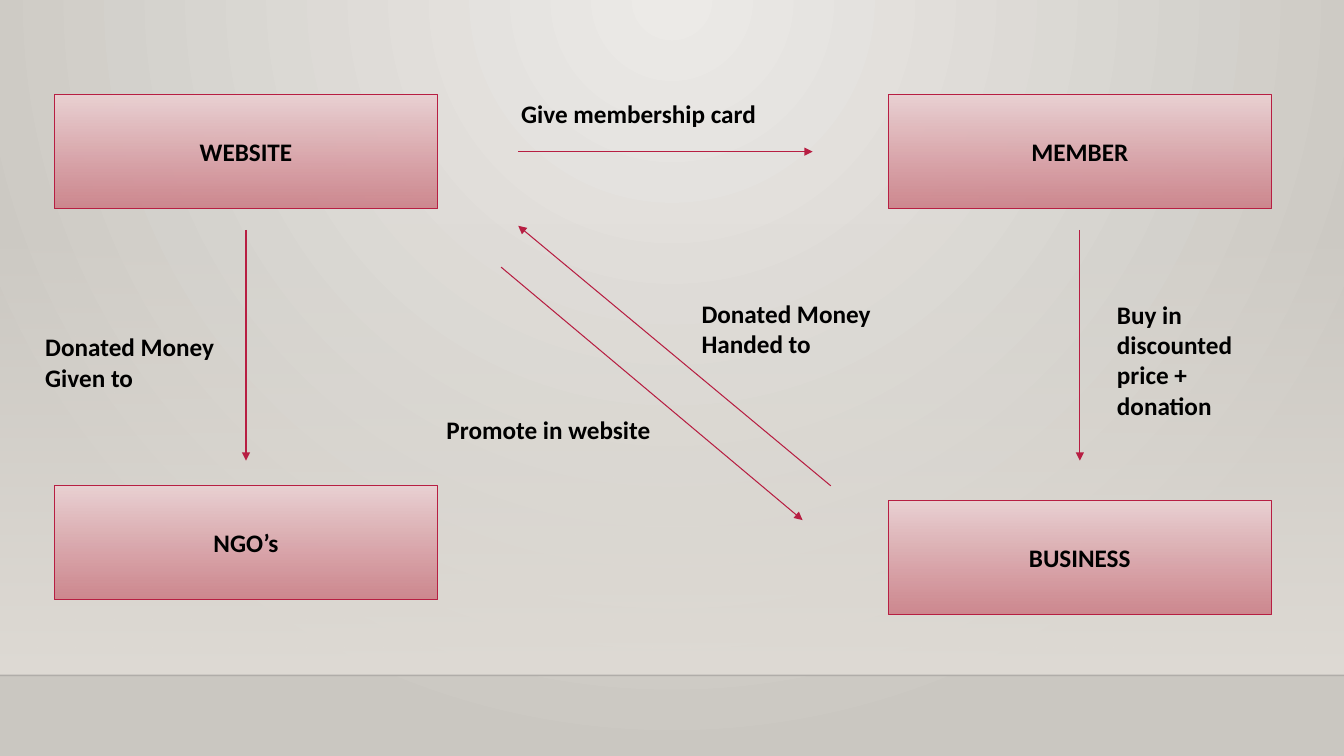
import pptx
import pptx.util
import pptx.oxml
import pptx.oxml.ns
import pptx.dml.color
import pptx.enum.shapes
import pptx.enum.text

Inches, Pt = pptx.util.Inches, pptx.util.Pt
qn = pptx.oxml.ns.qn
COLORS = {
    "page_light": "ECEAE7", "page_dark": "CAC7C1", "wall": "DFDBD5",
    "box_light": "EAD1D3", "box_dark": "CD828A",
    "crimson": "B71E42", "floor_line": "000001", "text": "000000",
}
DOWNWARD = '<a:lin ang="5400000" scaled="0"/>'
FROM_TOP = ('<a:path path="circle">'
            '<a:fillToRect l="43000" t="0" r="43000" b="100000"/></a:path>')


def set_gradient(fill, owner, stops, direction):
    """Fill with two (color name, opacity percent) stops; owner is the XML that holds the fill."""
    fill.gradient()
    old = next(owner.iter(qn("a:gradFill")))
    marks = "".join(
        f'<a:gs pos="{place}"><a:srgbClr val="{COLORS[name]}">'
        f'<a:alpha val="{opacity * 1000}"/></a:srgbClr></a:gs>'
        for place, (name, opacity) in zip((0, 100000), stops))
    new = pptx.oxml.parse_xml(
        f'<a:gradFill {pptx.oxml.ns.nsdecls("a")} rotWithShape="1">'
        f'<a:gsLst>{marks}</a:gsLst>{direction}</a:gradFill>')
    old.getparent().replace(old, new)


def write_bold(shape, text, align):
    frame = shape.text_frame
    frame.word_wrap = True
    para = frame.paragraphs[0]
    para.alignment = align
    span = para.add_run()
    span.text = text
    span.font.name = "Calibri"
    span.font.size = Pt(18)
    span.font.bold = True
    span.font.color.rgb = pptx.dml.color.RGBColor.from_string(COLORS["text"])


deck = pptx.Presentation()
deck.slide_width, deck.slide_height = Inches(13.33), Inches(7.5)
page = deck.slides.add_slide(deck.slide_layouts[6])
RECTANGLE = pptx.enum.shapes.MSO_SHAPE.RECTANGLE
STRAIGHT = pptx.enum.shapes.MSO_CONNECTOR.STRAIGHT
ALIGN = pptx.enum.text.PP_ALIGN

# Backdrop
set_gradient(page.background.fill, page._element,
             [("page_light", 100), ("page_dark", 100)], FROM_TOP)
FLOOR = 6.7
wall = page.shapes.add_shape(RECTANGLE, 0, Inches(2.21), deck.slide_width, Inches(FLOOR - 2.21))
wall.shadow.inherit = False
wall.line.fill.background()
set_gradient(wall.fill, wall._element, [("wall", 0), ("wall", 100)], DOWNWARD)

# Parties
LEFT, RIGHT, TOP = 0.54, 8.81, 0.94
BOX_WIDTH, BOX_HEIGHT = 3.8, 1.13
parties = [
    ("WEBSITE", LEFT, TOP), ("MEMBER", RIGHT, TOP),
    ("NGO’s", LEFT, 4.82), ("BUSINESS", RIGHT, 4.97),
]
for name, left, top in parties:
    box = page.shapes.add_shape(RECTANGLE, Inches(left), Inches(top),
                                Inches(BOX_WIDTH), Inches(BOX_HEIGHT))
    box.shadow.inherit = False
    set_gradient(box.fill, box._element, [("box_light", 100), ("box_dark", 92)], DOWNWARD)
    box.line.color.rgb = pptx.dml.color.RGBColor.from_string(COLORS["crimson"])
    box.line.width = Pt(0.75)
    box.text_frame.vertical_anchor = pptx.enum.text.MSO_ANCHOR.MIDDLE
    write_bold(box, name, ALIGN.CENTER)

# Floor line and arrows: start, end, color, width, ending
ARROW = ("crimson", 0.75, '<a:tailEnd {} type="triangle"/>')
left_middle, right_middle = LEFT + BOX_WIDTH / 2, RIGHT + BOX_WIDTH / 2
card_height = TOP + BOX_HEIGHT / 2
lines = [
    ((0, FLOOR), (13.33, FLOOR), "floor_line", 1, None),
    ((5.14, card_height), (8.06, card_height), *ARROW),
    ((left_middle, 2.28), (left_middle, 4.57), *ARROW),
    ((right_middle, 2.28), (right_middle, 4.57), *ARROW),
    ((4.97, 2.65), (7.96, 5.16), *ARROW),
    ((8.24, 4.82), (5.14, 2.24), *ARROW),
]
namespace = pptx.oxml.ns.nsdecls("a")
for start, end, color, width, ending in lines:
    line = page.shapes.add_connector(STRAIGHT, *map(Inches, start + end))
    line.line.color.rgb = pptx.dml.color.RGBColor.from_string(COLORS[color])
    line.line.width = Pt(width)
    if ending:
        line.line._ln.append(pptx.oxml.parse_xml(ending.format(namespace)))
    else:
        tint = next(line._element.spPr.iter(qn("a:srgbClr")))
        tint.append(pptx.oxml.parse_xml(f'<a:alpha {namespace} val="20000"/>'))
    line._element.spPr.append(pptx.oxml.parse_xml(f"<a:effectLst {namespace}/>"))

# Arrow labels
labels = [
    ("Give membership card", 5.07, 0.93, 3.38, 0.4),
    ("Buy in discounted price + donation", 10.98, 2.92, 1.78, 1.31),
    ("Donated Money Handed to", 6.86, 2.91, 2.41, 0.71),
    ("Promote in website", 4.33, 4.06, 2.72, 0.4),
    ("Donated Money Given to", 0.35, 3.24, 2.41, 0.71),
]
for text, *place in labels:
    label = page.shapes.add_textbox(*map(Inches, place))
    write_bold(label, text, ALIGN.LEFT)

deck.save("out.pptx")
